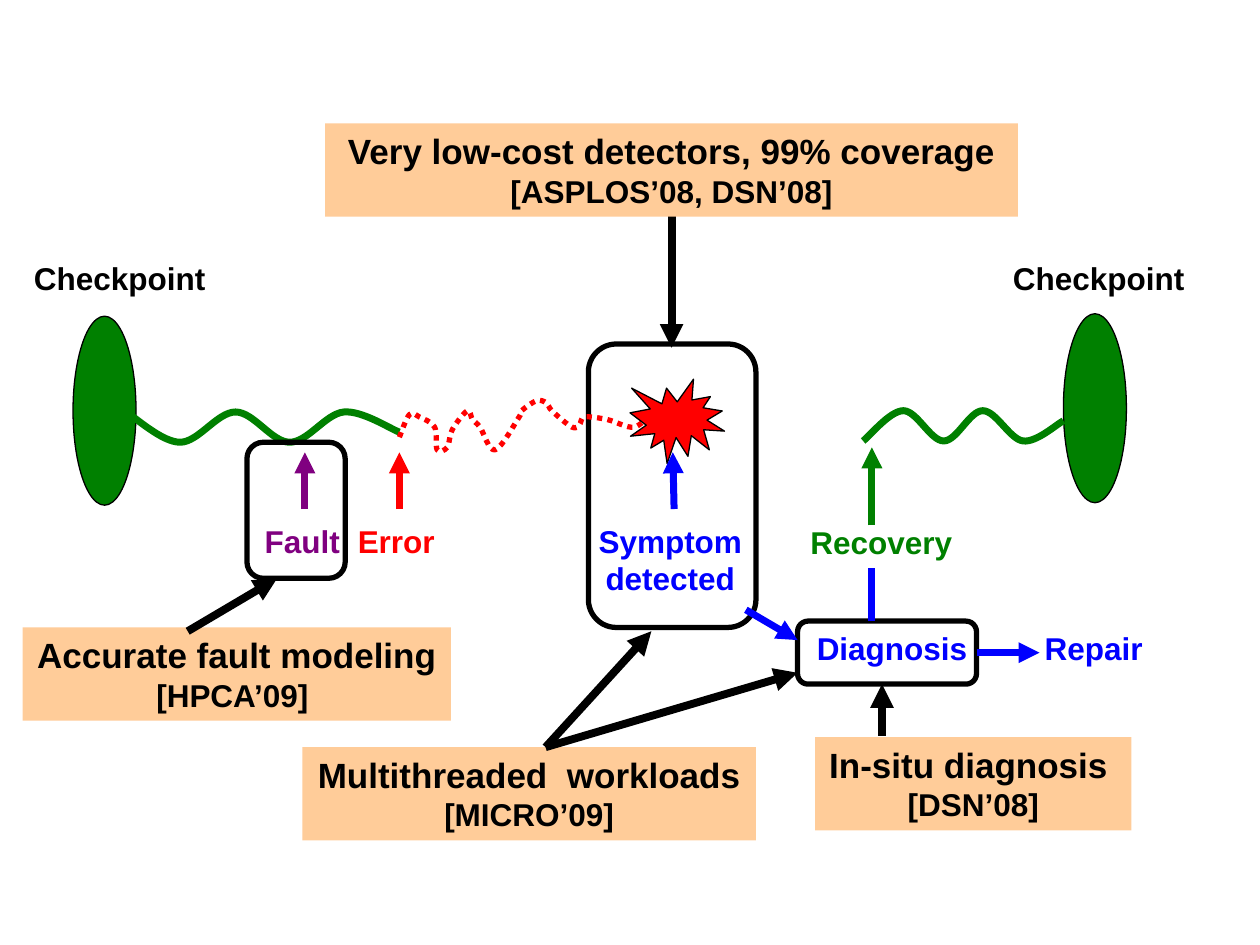
from lxml import etree
from pptx import Presentation
from pptx.dml.color import RGBColor
from pptx.enum.dml import MSO_LINE
from pptx.enum.shapes import MSO_CONNECTOR, MSO_SHAPE
from pptx.enum.text import MSO_ANCHOR, PP_ALIGN
from pptx.oxml.ns import qn
from pptx.util import Inches, Pt

RECT, OVAL = MSO_SHAPE.RECTANGLE, MSO_SHAPE.OVAL
ROUND, BURST = MSO_SHAPE.ROUNDED_RECTANGLE, MSO_SHAPE.EXPLOSION1
STRAIGHT, DOTTED = MSO_CONNECTOR.STRAIGHT, MSO_LINE.ROUND_DOT
CENTER, TOP = PP_ALIGN.CENTER, MSO_ANCHOR.TOP
COLORS = {"black": "000000", "peach": "FFCC99", "green": "008000",
          "red": "FF0000", "purple": "800080", "blue": "0000FF"}


def rgb(name):
    """Return the named colour."""
    return RGBColor.from_string(COLORS[name])


def write(tf, lines, sizes=(18,), color="black", wrap=False):
    """Fill a text frame with centred bold lines, one size per line."""
    tf.word_wrap = wrap
    tf.vertical_anchor = TOP
    for i, text in enumerate(lines):
        p = tf.paragraphs[0] if i == 0 else tf.add_paragraph()
        p.alignment = CENTER
        r = p.add_run()
        r.text = text
        r.font.name, r.font.bold = "Arial", True
        r.font.size = Pt(sizes[min(i, len(sizes) - 1)])
        r.font.color.rgb = rgb(color)


class Diagram:
    """Draws the elements of one slide in a shared style."""

    def __init__(self, slide):
        """Keep the slide's shapes."""
        self.shapes = slide.shapes

    def style(self, sp, fill=None, line=None, width=1.0):
        """Set fill and outline, without a shadow."""
        sp.shadow.inherit = False
        if fill:
            sp.fill.solid()
            sp.fill.fore_color.rgb = rgb(fill)
        else:
            sp.fill.background()
        if line:
            sp.line.color.rgb = rgb(line)
            sp.line.width = Pt(width)
        else:
            sp.line.fill.background()

    def shape(self, kind, box, fill=None, line="black", width=0.75):
        """Add a preset shape."""
        sp = self.shapes.add_shape(kind, *map(Inches, box))
        self.style(sp, fill, line, width)
        return sp

    def frame(self, *box):
        """Add a rounded outline around a step."""
        self.shape(ROUND, box, width=3)

    def callout(self, box, heading, venue, wrap=True):
        """Add a peach box with a heading and its venue."""
        sp = self.shape(RECT, box, "peach", None)
        write(sp.text_frame, (heading, venue), (20, 18), wrap=wrap)

    def label(self, box, *lines, color="black"):
        """Add a step label."""
        sp = self.shapes.add_textbox(*map(Inches, box))
        write(sp.text_frame, lines, color=color)

    def arrow(self, start, end, color="black", width=4.5, tip=True):
        """Add a straight line, with an arrowhead at its end."""
        c = self.shapes.add_connector(STRAIGHT, *map(Inches, start + end))
        c.line.color.rgb = rgb(color)
        c.line.width = Pt(width)
        if tip:
            etree.SubElement(c.line._get_or_add_ln(), qn("a:tailEnd"), type="triangle")
        etree.SubElement(c._element.spPr, qn("a:effectLst"))

    def curve(self, knots, color, width, dash=None):
        """Add a smooth open curve through the knots."""
        pts = [(Inches(x), Inches(y)) for x, y in knots]
        builder = self.shapes.build_freeform(*pts[0])
        builder.add_line_segments(pts[1:], close=False)
        sp = builder.convert_to_shape()
        self.style(sp, None, color, width)
        if dash:
            sp.line.dash_style = dash
        local = [(x - sp.left, y - sp.top) for x, y in pts]
        local = [local[0], *local, local[-1]]
        for i, seg in enumerate(list(sp._element.iter(qn("a:lnTo")))):
            a, b, c, d = local[i:i + 4]
            seg.tag = qn("a:cubicBezTo")
            seg.clear()
            first = [q + (s - p) / 6 for p, q, s in zip(a, b, c)]
            second = [s - (t - q) / 6 for q, s, t in zip(b, c, d)]
            for x, y in (first, second, c):
                etree.SubElement(seg, qn("a:pt"), x=str(round(x)), y=str(round(y)))


prs = Presentation()
prs.slide_width, prs.slide_height = Inches(10), Inches(7.5)
s = prs.slides.add_slide(prs.slide_layouts[6])
d = Diagram(s)

# Diagnosis and detection
d.frame(6.33, 4.93, 1.42, 0.5)
d.callout((6.47, 5.85, 2.51, 0.74), "In-situ diagnosis ", "[DSN’08]", wrap=False)
d.arrow((7, 5.84), (7, 5.43))
d.frame(4.67, 2.73, 1.33, 2.25)
d.arrow((5.33, 1.67), (5.33, 2.76))
d.callout((2.58, 0.98, 5.5, 0.74), "Very low-cost detectors, 99% coverage",
          "[ASPLOS’08, DSN’08]")

# Execution between the checkpoints
for label_x, oval_x, oval_y in ((0.17, 0.58, 2.51), (7.94, 8.44, 2.49)):
    d.label((label_x, 2.01, 1.56, 0.4), "Checkpoint")
    d.shape(OVAL, (oval_x, oval_y, 0.5, 1.5), "green")
d.curve([(1, 3.27), (1.43, 3.51), (1.87, 3.27), (2.3, 3.51), (2.73, 3.27),
         (3.17, 3.43)], "green", 4)
d.curve([(3.17, 3.47), (3.25, 3.29), (3.33, 3.31), (3.45, 3.39), (3.47, 3.57),
         (3.55, 3.55), (3.59, 3.41), (3.71, 3.26), (3.75, 3.33), (3.81, 3.39),
         (3.93, 3.57), (4.12, 3.31), (4.14, 3.26), (4.26, 3.18), (4.34, 3.2),
         (4.38, 3.26), (4.54, 3.39), (4.6, 3.37), (4.64, 3.31), (4.82, 3.33),
         (5.03, 3.39), (5.17, 3.28)], "red", 3, DOTTED)
d.curve([(6.85, 3.5), (7.17, 3.26), (7.49, 3.5), (7.8, 3.26), (8.12, 3.5),
         (8.44, 3.34)], "green", 4)
d.shape(BURST, (5, 3.01, 0.75, 0.67), "red")

# Step labels and the arrows between them
for box, lines, color in (
        ((2, 4.09, 0.8, 0.4), ["Fault"], "purple"),
        ((2.74, 4.09, 0.81, 0.4), ["Error"], "red"),
        ((4.65, 4.09, 1.34, 0.7), ["Symptom", "detected"], "blue"),
        ((6.33, 4.1, 1.33, 0.4), ["Recovery"], "green"),
        ((6.38, 4.94, 1.4, 0.4), ["Diagnosis"], "blue"),
        ((8.19, 4.94, 0.98, 0.4), ["Repair"], "blue")):
    d.label(box, *lines, color=color)
for start, end, color in (
        ((2.42, 4.04), (2.42, 3.59), "purple"),
        ((3.17, 4.04), (3.17, 3.59), "red"),
        ((5.35, 4.04), (5.34, 3.59), "blue"),
        ((5.92, 4.84), (6.33, 5.08), "blue"),
        ((6.92, 4.17), (6.92, 3.55), "green"),
        ((7.75, 5.18), (8.25, 5.18), "blue")):
    d.arrow(start, end, color, 4)
d.arrow((6.92, 4.93), (6.92, 4.51), "blue", 4, tip=False)

# Fault modeling and workloads
d.callout((0.18, 4.98, 3.4, 0.74), "Accurate fault modeling", "[HPCA’09] ")
d.frame(1.96, 3.51, 0.78, 1.08)
d.arrow((1.49, 5.01), (2.2, 4.59))
d.callout((2.4, 5.93, 3.6, 0.74), "Multithreaded  workloads ", "[MICRO’09]")
for target in ((5.17, 5.01), (6.33, 5.34)):
    d.arrow((4.33, 5.93), target)

prs.save("out.pptx")
